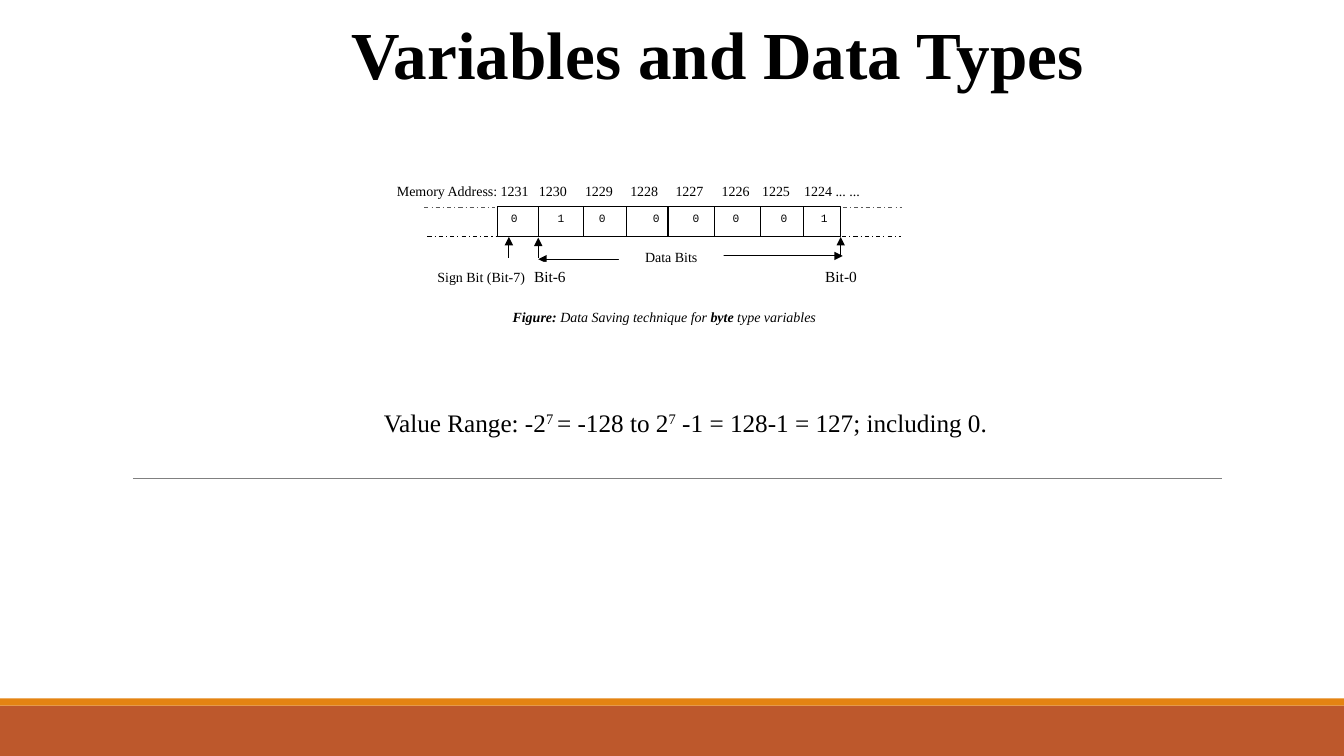
from lxml import etree
from pptx import Presentation
from pptx import util as u
from pptx.dml.color import RGBColor
from pptx.enum import dml, shapes, text
from pptx.oxml.ns import qn

SLIDE_W, SLIDE_H = 33.86, 19.05
SERIF, MONO = "Times New Roman", "Courier New"
BLACK, WHITE = "000000", "FFFFFF"
ROW_H = 0.76
LEFT, CENTER = text.PP_ALIGN.LEFT, text.PP_ALIGN.CENTER


def color(value):
    return RGBColor.from_string(value)


def add_rect(slide, x, y, w, h, fill, line=None):
    s = slide.shapes.add_shape(shapes.MSO_SHAPE.RECTANGLE, u.Cm(x), u.Cm(y), u.Cm(w), u.Cm(h))
    s.shadow.inherit = False
    s.fill.solid()
    s.fill.fore_color.rgb = color(fill)
    if line:
        s.line.color.rgb = color(line)
        s.line.width = u.Pt(0.75)
    else:
        s.line.fill.background()
    return s


def add_line(slide, x1, y1, x2, y2, width=0.75, stroke=BLACK, dashed=False, arrow=False):
    c = slide.shapes.add_connector(shapes.MSO_CONNECTOR.STRAIGHT,
                                   u.Cm(x1), u.Cm(y1), u.Cm(x2), u.Cm(y2))
    c.line.color.rgb = color(stroke)
    c.line.width = u.Pt(width)
    if dashed:
        c.line.dash_style = dml.MSO_LINE.DASH_DOT
    if arrow:
        etree.SubElement(c.line._get_or_add_ln(), qn("a:tailEnd"), type="triangle")
    etree.SubElement(c._element.spPr, qn("a:effectLst"))


def write(s, runs, size, font=SERIF, align=LEFT, inset=0.25, tabs=()):
    """Fill s with one paragraph; runs are (text, {bold, italic, baseline}) pairs."""
    tf = s.text_frame
    tf.word_wrap = True
    tf.vertical_anchor = text.MSO_ANCHOR.TOP
    tf.margin_left = tf.margin_right = u.Cm(inset)
    p = tf.paragraphs[0]
    p.alignment = align
    if tabs:
        tab_list = etree.SubElement(p._p.get_or_add_pPr(), qn("a:tabLst"))
        for pos in tabs:
            etree.SubElement(tab_list, qn("a:tab"), pos=str(int(u.Cm(pos))), algn="l")
    for words, style in runs:
        r = p.add_run()
        r.text = words
        r.font.name = font
        r.font.size = u.Pt(size)
        r.font.color.rgb = color(BLACK)
        r.font.bold = style.get("bold", False)
        r.font.italic = style.get("italic", False)
        if "baseline" in style:
            r.font._element.set("baseline", str(style["baseline"]))
    return p


def add_text(slide, x, y, w, h, runs, size, **options):
    s = slide.shapes.add_textbox(u.Cm(x), u.Cm(y), u.Cm(w), u.Cm(h))
    p = write(s, runs, size, **options)
    s.text_frame.auto_size = text.MSO_AUTO_SIZE.SHAPE_TO_FIT_TEXT
    return p


def add_background(slide):
    add_rect(slide, 0, 17.78, SLIDE_W, 1.27, "BD582C")
    add_rect(slide, 0, 17.6, SLIDE_W, 0.18, "E48312")
    add_line(slide, 3.35, 12.06, 30.78, 12.06, width=0.5, stroke="808080")


def add_memory_row(slide, x, y):
    """Addresses above eight bit cells, with the memory continuing on both sides."""
    cells_x, top, bottom = x + 2.79, y + 0.74, y + 1.5
    for dx, dy in ((0.94, 0.76), (1.02, 1.5), (11.2, 0.76), (11.18, 1.5)):
        add_line(slide, x + dx, y + dy, x + dx + 1.78, y + dy, dashed=True)

    addresses = "\t".join(str(n) for n in range(1231, 1223, -1))
    write(add_rect(slide, x, y, 13.46, ROW_H, WHITE),
          [(f"Memory Address: {addresses} ... ...", {})], 10,
          tabs=(3.58, 4.74, 5.88, 7.02, 8.18, 9.2, 10.26))
    write(add_rect(slide, cells_x, top, 8.64, ROW_H, WHITE, BLACK),
          [("".join("\t" + bit for bit in "01000001"), {})], 8, font=MONO, inset=0,
          tabs=(0.33, 1.51, 2.55, 3.91, 4.91, 5.92, 7.13, 8.14))
    for dx in (1.02, 2.16, 3.25, 4.29, 5.46, 6.63, 7.7):
        add_line(slide, cells_x + dx, top, cells_x + dx, bottom)


def add_bit_labels(slide, x, y):
    for x1, y1, x2, y2, width in (
            (6.1, 2.06, 3.81, 2.06, 0.75), (7.67, 1.98, 11.48, 1.98, 0.75),
            (3.07, 2.03, 3.07, 1.5, 0.75), (3.81, 2.03, 3.81, 1.52, 0.5),
            (11.43, 2.01, 11.43, 1.5, 0.75)):
        add_line(slide, x + x1, y + y1, x + x2, y + y2, width=width, arrow=True)
    for label, dx, dy, w, size, align, inset in (
            ("Sign Bit (Bit-7)", 1.27, 2.16, 2.29, 10, LEFT, 0),
            ("Bit-6", 3.56, 2.13, 1.09, 11, CENTER, 0),
            ("Bit-0", 10.92, 2.13, 1.04, 11, CENTER, 0),
            ("Data Bits", 5.84, 1.68, 2.64, 10, CENTER, 0.25)):
        write(add_rect(slide, x + dx, y + dy, w, ROW_H, WHITE),
              [(label, {})], size, align=align, inset=inset)


def add_byte_diagram(slide, x, y):
    add_memory_row(slide, x, y)
    add_bit_labels(slide, x, y)
    plain, strong = {"italic": True}, {"italic": True, "bold": True}
    write(add_rect(slide, x + 2.54, y + 3.18, 8.89, ROW_H, WHITE),
          [("Figure: ", strong), ("Data Saving technique for ", plain),
           ("byte", strong), (" type variables", plain)], 10, align=CENTER)


def main():
    prs = Presentation()
    prs.slide_width, prs.slide_height = u.Cm(SLIDE_W), u.Cm(SLIDE_H)
    slide = prs.slides.add_slide(prs.slide_layouts[6])
    add_background(slide)
    add_byte_diagram(slide, 9.75, 4.47)
    power = {"baseline": 30000}
    add_text(slide, 9.42, 10.13, 16.94, 1.02,
             [("Value Range: -2", {}), ("7 ", power), ("= -128 to 2", {}),
              ("7", power), (" -1 = 128-1 = 127; including 0.", {})], 18)
    title = add_text(slide, 5.79, 0.18, 24.59, 2.31,
                     [("Variables and Data Types", {"bold": True})], 48, align=CENTER)
    title.space_after = u.Pt(6)
    prs.save("out.pptx")


if __name__ == "__main__":
    main()
